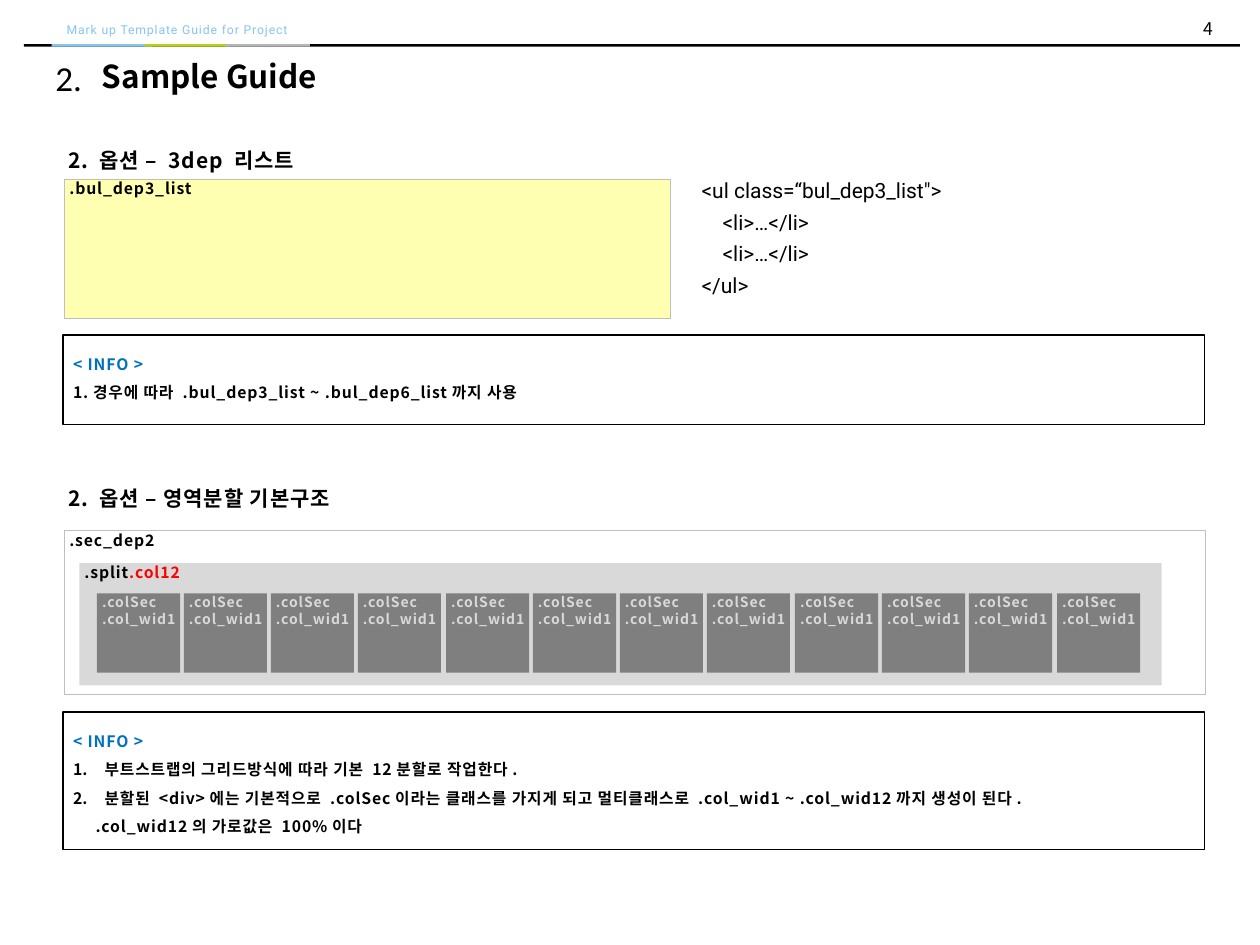
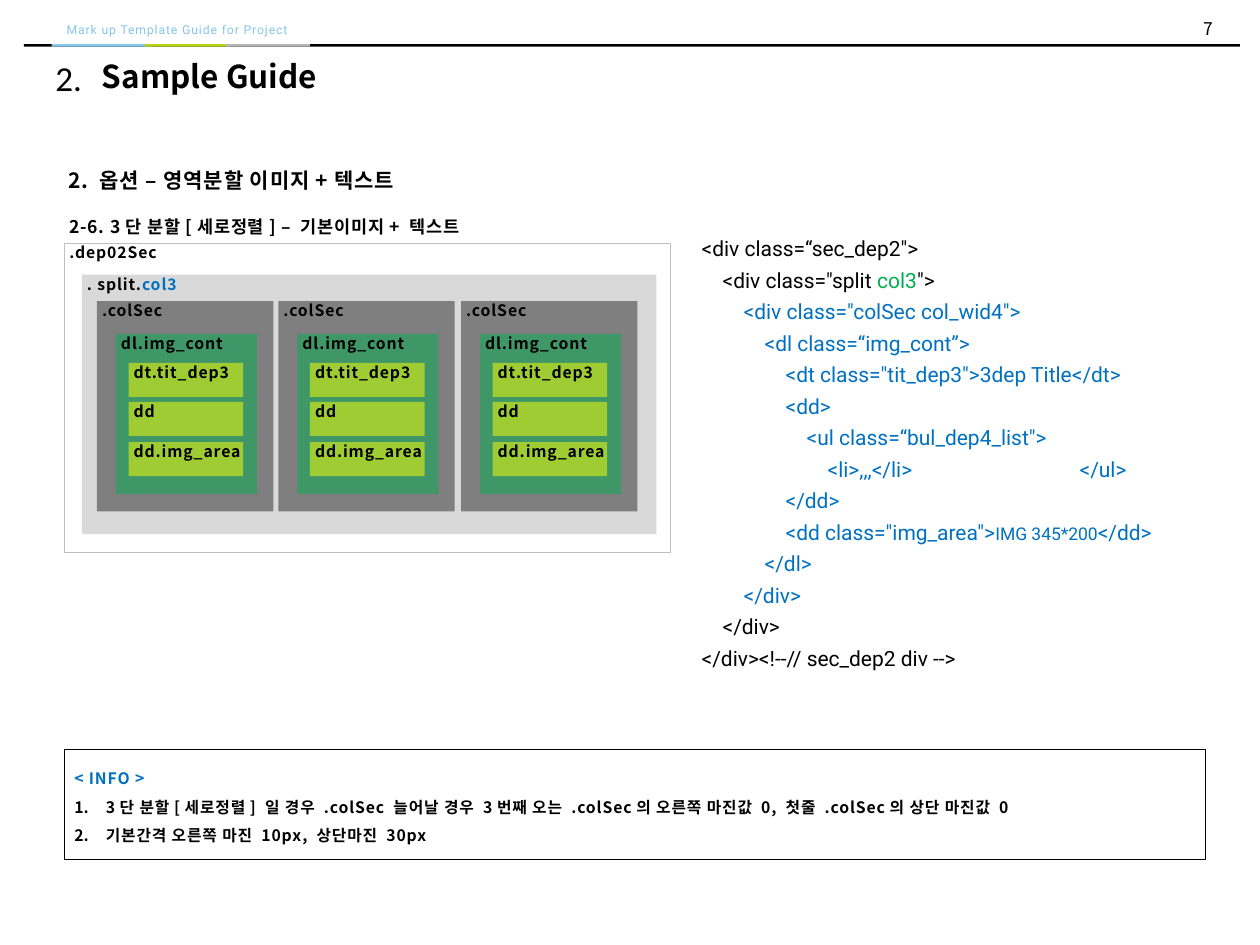
from dataclasses import dataclass

from lxml.etree import SubElement
from pptx import Presentation
from pptx.dml.color import RGBColor
from pptx.enum.shapes import MSO_SHAPE
from pptx.enum.text import MSO_ANCHOR, PP_ALIGN
from pptx.oxml.ns import qn
from pptx.util import Pt

PX = 9144  # 100 px to the inch


@dataclass(frozen=True)
class Theme:
    # Colours
    black: str = "000000"
    white: str = "FFFFFF"
    sky: str = "86C6ED"
    lime: str = "B8D317"
    silver: str = "B6B6B6"
    border: str = "BFBFBF"
    band: str = "B5B5B5"
    column: str = "262626"
    pale: str = "D9D9D9"
    yellow: str = "FFFF00"
    green: str = "00B050"
    blue: str = "0070C0"
    red: str = "FF0000"
    # Fonts
    body_font: str = "Noto Sans CJK KR"
    code_font: str = "Roboto"
    number_font: str = "Calibri"
    # Type sizes and letter spacing, in points
    number_size: int = 20
    title_size: int = 18
    heading_size: int = 12
    small_size: int = 10
    label_size: int = 9
    column_size: int = 8
    header_size: int = 7
    tracking: float = 0.5


THEME = Theme()
LABEL_INSETS = (4, 0, 0, 0)
INFO_INSETS = (8, 8, 8, 0)


class Deck:
    """Holds the theme and the slide being filled."""

    def __init__(self, theme):
        self.theme = theme
        self.presentation = Presentation()
        self.presentation.slide_width = 1000 * PX
        self.presentation.slide_height = 750 * PX
        self.slide = None

    # Basic elements
    def rectangle(self, box, fill, opacity=100, line=None, line_width=0.25):
        shape = self.slide.shapes.add_shape(
            MSO_SHAPE.RECTANGLE, *(length * PX for length in box))
        shape.shadow.inherit = False
        shape.fill.solid()
        shape.fill.fore_color.rgb = RGBColor.from_string(fill)
        if opacity < 100:
            color = shape.fill._xPr.find(f"{qn('a:solidFill')}/{qn('a:srgbClr')}")
            SubElement(color, qn("a:alpha"), val=str(opacity * 1000))
        if line:
            shape.line.color.rgb = RGBColor.from_string(line)
            shape.line.width = Pt(line_width)
        else:
            shape.line.fill.background()
        return shape

    def frame(self, shape, insets=(10, 5, 10, 5), anchor=MSO_ANCHOR.TOP, wrap=True):
        frame = shape.text_frame
        frame.word_wrap = wrap
        frame.vertical_anchor = anchor
        (frame.margin_left, frame.margin_top,
         frame.margin_right, frame.margin_bottom) = (inset * PX for inset in insets)
        return frame

    def text_box(self, box, **options):
        shape = self.slide.shapes.add_textbox(*(length * PX for length in box))
        return self.frame(shape, **options)

    def paragraph(self, frame, runs, size, color=None, font=None, bold=False,
                  tracking=0, align=PP_ALIGN.LEFT, spacing=None, indent=0):
        """Fill the next paragraph; a run is a text or (text, colour, size)."""
        paragraph = frame.paragraphs[0]
        if paragraph.runs:
            paragraph = frame.add_paragraph()
        paragraph.alignment = align
        if spacing:
            paragraph.line_spacing = spacing
        if indent:
            paragraph._p.get_or_add_pPr().set("marL", str(indent))
        name = font or self.theme.body_font
        style = paragraph.font
        style.size = Pt(size)
        style.bold = bold
        style.color.rgb = RGBColor.from_string(color or self.theme.black)
        style.name = name
        SubElement(style._rPr, qn("a:ea"), typeface=name)
        style._rPr.set("spc", str(int(tracking * 100)))
        for part in [runs] if isinstance(runs, str) else runs:
            text, run_color, run_size = (
                (part, None, None) if isinstance(part, str) else part)
            run = paragraph.add_run()
            run.text = text
            if run_color:
                run.font.color.rgb = RGBColor.from_string(run_color)
            if run_size:
                run.font.size = Pt(run_size)
        return paragraph

    # Page furniture
    def page(self, number):
        theme = self.theme
        self.slide = self.presentation.slides.add_slide(
            self.presentation.slide_layouts[6])
        self.rectangle((19, 35, 965, 2), theme.black)
        frame = self.text_box((779, 8, 194, 29), anchor=MSO_ANCHOR.MIDDLE)
        self.paragraph(frame, str(number), theme.small_size, align=PP_ALIGN.RIGHT)
        frame = self.text_box((43, 13, 298, 22))
        self.paragraph(frame, "Mark up Template Guide for Project",
                       theme.header_size, theme.sky, theme.code_font,
                       tracking=theme.tracking)
        for left, width, color in ((41, 80, theme.sky), (115, 67, theme.lime),
                                   (179, 67, theme.silver)):
            self.rectangle((left, 35, width, 2), color)
        frame = self.text_box((27, 40, 55, 44))
        self.paragraph(frame, "2.", theme.number_size, font=theme.number_font,
                       align=PP_ALIGN.CENTER)
        frame = self.text_box((71, 40, 461, 40))
        self.paragraph(frame, "Sample Guide", theme.title_size, bold=True)

    def heading(self, box, text, size=None):
        frame = self.text_box(box, insets=LABEL_INSETS, wrap=False)
        self.paragraph(frame, text, size or self.theme.heading_size, bold=True,
                       tracking=self.theme.tracking, spacing=1.5)

    # Layout diagrams
    def block(self, box, lines, fill, opacity=50, line=None, size=None, color=None):
        shape = self.rectangle(box, fill, opacity, line)
        frame = self.frame(shape, LABEL_INSETS)
        for text in lines:
            self.paragraph(frame, text, size or self.theme.label_size, color,
                           bold=True, tracking=self.theme.tracking)

    # Notes: each line is (text, numbered, indent)
    def info(self, box, lines):
        theme = self.theme
        shape = self.rectangle(box, theme.white, 50, theme.black, 0.75)
        frame = self.frame(shape, INFO_INSETS)
        style = dict(bold=True, tracking=theme.tracking, spacing=1.5)
        self.paragraph(frame, "< INFO >", theme.label_size, theme.blue, **style)
        for text, numbered, indent in lines:
            paragraph = self.paragraph(frame, text, theme.label_size,
                                       indent=indent * PX, **style)
            if numbered:
                properties = paragraph._p.pPr
                properties.set("indent", str(-indent * PX))
                number = SubElement(properties, qn("a:buAutoNum"), type="arabicPeriod")
                properties.find(qn("a:defRPr")).addprevious(number)

    # Code listing: each line is (level, runs, colour)
    def code(self, box, lines):
        theme = self.theme
        frame = self.text_box(box)
        for level, runs, color in lines:
            paragraph = self.paragraph(
                frame, runs, theme.heading_size, color, theme.code_font,
                spacing=Pt(18), indent=level * Pt(theme.heading_size))
            paragraph._p.pPr.set("defTabSz", str(100 * PX))


def list_and_grid_slide(deck):
    theme = deck.theme
    deck.page(4)

    # Third-level list
    deck.heading((50, 107, 186, 30), "2. 옵션 – 3dep 리스트")
    deck.block((51, 142, 481, 111), [".bul_dep3_list"], theme.yellow, 30, theme.border)
    deck.code((547, 131, 386, 111), [
        (0, "<ul class=“bul_dep3_list\">", None),
        (1, "<li>…</li>", None),
        (1, "<li>…</li>", None),
        (0, "</ul>", None),
    ])
    deck.info((50, 266, 906, 71), [
        ("1.경우에 따라 .bul_dep3_list ~ .bul_dep6_list까지 사용", False, 0),
    ])

    # Twelve-column grid
    deck.heading((50, 375, 231, 26), "2. 옵션 – 영역분할 기본구조")
    deck.block((51, 421, 906, 130), [".sec_dep2"], theme.white, 20, theme.border)
    deck.block((63, 447, 859, 97), [[".split", (".col12", theme.red, None)]], theme.band)
    first, last, count = 77, 839, 12
    for index in range(count):
        left = first + index * (last - first) // (count - 1)
        deck.block((left, 471, 66, 63), [".colSec", ".col_wid1"], theme.column,
                   size=theme.column_size, color=theme.pale)
    deck.info((50, 565, 906, 109), [
        ("부트스트랩의 그리드방식에 따라 기본 12분할로 작업한다.", True, 25),
        ("분할된 <div>에는 기본적으로 .colSec이라는 클래스를 가지게 되고 "
         "멀티클래스로 .col_wid1 ~ .col_wid12까지 생성이 된다.", True, 25),
        (".col_wid12의 가로값은 100%이다", False, 18),
    ])


def image_and_text_slide(deck):
    theme = deck.theme
    deck.page(7)
    deck.heading((50, 123, 279, 30), "2. 옵션 – 영역분할 이미지+텍스트")
    deck.heading((51, 163, 320, 25), "2-6. 3단 분할[세로정렬] – 기본이미지+ 텍스트",
                 theme.small_size)

    # Three columns, each with an image list
    deck.block((51, 193, 481, 245), [".dep02Sec"], theme.white, 20, theme.border)
    deck.block((65, 218, 456, 206), [[". split.", ("col3", theme.blue, None)]], theme.band)
    for index in range(3):
        left = 77 + index * 289 // 2
        deck.block((left, 239, 140, 167), [".colSec"], theme.column)
        deck.block((left + 15, 265, 112, 127), ["dl.img_cont"], theme.green)
        for row, label in enumerate(("dt.tit_dep3", "dd", "dd.img_area")):
            top = 288 + row * 63 // 2
            deck.block((left + 25, top, 91, 27), [label], theme.yellow)

    # Markup of the columns
    blue = theme.blue
    deck.code((547, 177, 425, 389), [
        (0, "<div class=“sec_dep2\">", None),
        (1, ["<div class=\"split ", ("col3", theme.green, None), "\">"], None),
        (2, "<div class=\"colSec col_wid4\">", blue),
        (3, "<dl class=“img_cont”>", blue),
        (4, "<dt class=\"tit_dep3\">3dep Title</dt>", blue),
        (4, "<dd>", blue),
        (5, "<ul class=“bul_dep4_list\">", blue),
        (6, "<li>,,,</li>\t\t</ul>", blue),
        (4, "</dd>", blue),
        (4, ["<dd class=\"img_area\">", ("IMG 345*200", None, theme.small_size),
             "</dd>"], blue),
        (3, "</dl>", blue),
        (2, "</div>", blue),
        (1, "</div>", None),
        (0, "</div><!--// sec_dep2 div -->", None),
    ])
    deck.info((51, 595, 906, 87), [
        ("3단 분할[세로정렬] 일 경우 .colSec 늘어날 경우 3번째 오는 .colSec의 "
         "오른쪽 마진값 0, 첫줄 .colSec의 상단 마진값 0", True, 25),
        ("기본간격 오른쪽 마진 10px, 상단마진 30px", True, 25),
    ])


def main():
    deck = Deck(THEME)
    list_and_grid_slide(deck)
    image_and_text_slide(deck)
    deck.presentation.save("out.pptx")


if __name__ == "__main__":
    main()
